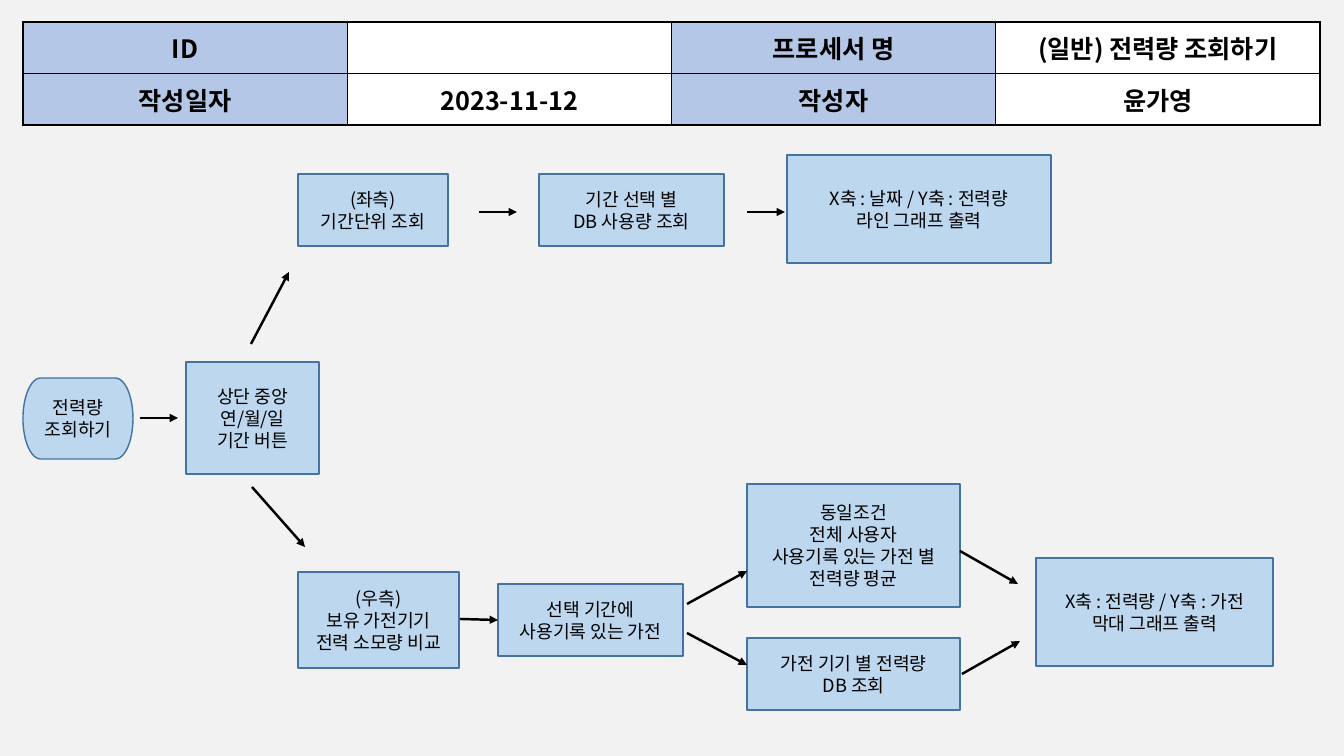
from dataclasses import dataclass

import lxml.etree
import pptx
import pptx.dml.color
import pptx.enum.shapes
import pptx.enum.text
import pptx.oxml.ns
import pptx.util

SCALE = 914400 / 100.8
SHAPES = pptx.enum.shapes.MSO_SHAPE


@dataclass(frozen=True)
class Theme:
    """Colours, font and type sizes of the slide."""

    font: str = "Noto Sans CJK KR"
    ink: str = "000000"
    page: str = "F2F2F2"
    label: str = "B4C7E7"
    value: str = "FFFFFF"
    step: str = "BDD7EE"
    outline: str = "43739E"
    table_size: int = 18
    step_size: int = 13
    border: float = 1
    arrow: float = 1.75


THEME = Theme()


def px(length):
    """Turn pixels into EMU."""
    return pptx.util.Emu(round(length * SCALE))


def rgb(value):
    """Turn a hex string into a colour."""
    return pptx.dml.color.RGBColor.from_string(value)


def paint(fill, colour):
    """Give a fill one solid colour."""
    fill.solid()
    fill.fore_color.rgb = rgb(colour)


def add_child(parent, tag, **attributes):
    """Append a DrawingML element."""
    return lxml.etree.SubElement(parent, pptx.oxml.ns.qn(tag), attributes)


def write(frame, text, size, bold=False):
    """Write centred text, one paragraph per line."""
    frame.text = text
    frame.vertical_anchor = pptx.enum.text.MSO_ANCHOR.MIDDLE
    for para in frame.paragraphs:
        para.alignment = pptx.enum.text.PP_ALIGN.CENTER
        for span in para.runs:
            span.font.size = pptx.util.Pt(size)
            span.font.bold = bold
            span.font.color.rgb = rgb(THEME.ink)
            span.font.name = THEME.font
            add_child(span.font._element, "a:ea", typeface=THEME.font)


def add_borders(cell):
    """Draw a thin line on all four sides of a cell."""
    properties = cell._tc.get_or_add_tcPr()
    for side in "LRTB":
        line = add_child(properties, f"a:ln{side}", w=str(pptx.util.Pt(THEME.border)))
        add_child(add_child(line, "a:solidFill"), "a:srgbClr", val=THEME.ink)


def add_step(page, box, text, kind=SHAPES.RECTANGLE):
    """Add one step of the process."""
    step = page.shapes.add_shape(kind, *map(px, box))
    step.shadow.inherit = False
    paint(step.fill, THEME.step)
    step.line.color.rgb = rgb(THEME.outline)
    step.line.width = pptx.util.Pt(THEME.border)
    step.text_frame.word_wrap = False
    write(step.text_frame, text, THEME.step_size)


def add_arrow(page, start, end):
    """Add a straight arrow between two points."""
    straight = pptx.enum.shapes.MSO_CONNECTOR.STRAIGHT
    arrow = page.shapes.add_connector(straight, *map(px, (*start, *end)))
    arrow.line.color.rgb = rgb(THEME.ink)
    arrow.line.width = pptx.util.Pt(THEME.arrow)
    add_child(arrow.line._get_or_add_ln(), "a:tailEnd", type="triangle")
    add_child(arrow._element.spPr, "a:effectLst")


def add_header(page, box):
    """Add the table that identifies the process."""
    rows = [
        ["ID", "", "프로세서 명", "(일반) 전력량 조회하기"],
        ["작성일자", "2023-11-12", "작성자", "윤가영"],
    ]
    table = page.shapes.add_table(len(rows), len(rows[0]), *map(px, box)).table
    table.first_row = table.horz_banding = False
    for row, texts in enumerate(rows):
        for column, text in enumerate(texts):
            cell = table.cell(row, column)
            add_borders(cell)
            paint(cell.fill, THEME.value if column % 2 else THEME.label)
            write(cell.text_frame, text, THEME.table_size, bold=True)
            cell.vertical_anchor = pptx.enum.text.MSO_ANCHOR.MIDDLE


def add_flow(page, box, steps, arrows):
    """Place steps and arrows relative to the corner of a box."""
    left, top = box[:2]
    for (x, y, width, height), *content in steps:
        add_step(page, (left + x, top + y, width, height), *content)
    for (x1, y1), (x2, y2) in arrows:
        add_arrow(page, (left + x1, top + y1), (left + x2, top + y2))


def add_entry(page, box):
    """Add the start and the period choice with its two ways out."""
    steps = [
        ((0, 106, 110, 81), "전력량\n조회하기", SHAPES.FLOWCHART_TERMINATOR),
        ((163, 90, 133, 112), "상단 중앙\n연/월/일\n기간 버튼"),
    ]
    arrows = [
        ((117, 146), (155, 146)),
        ((228, 72), (266, 0)),
        ((229, 215), (282, 275)),
    ]
    add_flow(page, box, steps, arrows)


def add_period_branch(page, box):
    """Add the upper branch, which ends in the line graph."""
    steps = [
        ((0, 19, 150, 72), "(좌측)\n기간단위 조회"),
        ((241, 19, 185, 72), "기간 선택 별\nDB 사용량 조회"),
        ((489, 0, 264, 108), "X축 : 날짜 / Y축 : 전력량\n라인 그래프 출력"),
    ]
    arrows = [((x, 57), (x + 38, 57)) for x in (181, 449)]
    add_flow(page, box, steps, arrows)


def add_appliance_branch(page, box):
    """Add the lower branch, which ends in the bar graph."""
    steps = [
        ((0, 88, 161, 96), "(우측)\n보유 가전기기\n전력 소모량 비교"),
        ((200, 100, 185, 72), "선택 기간에\n사용기록 있는 가전"),
        ((449, 0, 213, 123), "동일조건\n전체 사용자\n사용기록 있는 가전 별\n전력량 평균"),
        ((449, 154, 213, 72), "가전 기기 별 전력량\nDB 조회"),
        ((738, 74, 237, 108), "X축 : 전력량 / Y축 : 가전\n막대 그래프 출력"),
    ]
    arrows = [
        ((162, 135), (200, 136)),
        ((389, 120), (449, 87)),
        ((389, 149), (449, 181)),
        ((662, 67), (720, 100)),
        ((664, 190), (722, 157)),
    ]
    add_flow(page, box, steps, arrows)


def main():
    """Build the process slide and save it."""
    deck = pptx.Presentation()
    deck.slide_width, deck.slide_height = px(1344), px(756)
    page = deck.slides.add_slide(deck.slide_layouts[6])
    paint(page.background.fill, THEME.page)
    add_header(page, (23, 22, 1297, 103))
    add_entry(page, (23, 272, 296, 275))
    add_period_branch(page, (298, 155, 753, 108))
    add_appliance_branch(page, (298, 484, 975, 226))
    deck.save("out.pptx")


if __name__ == "__main__":
    main()
